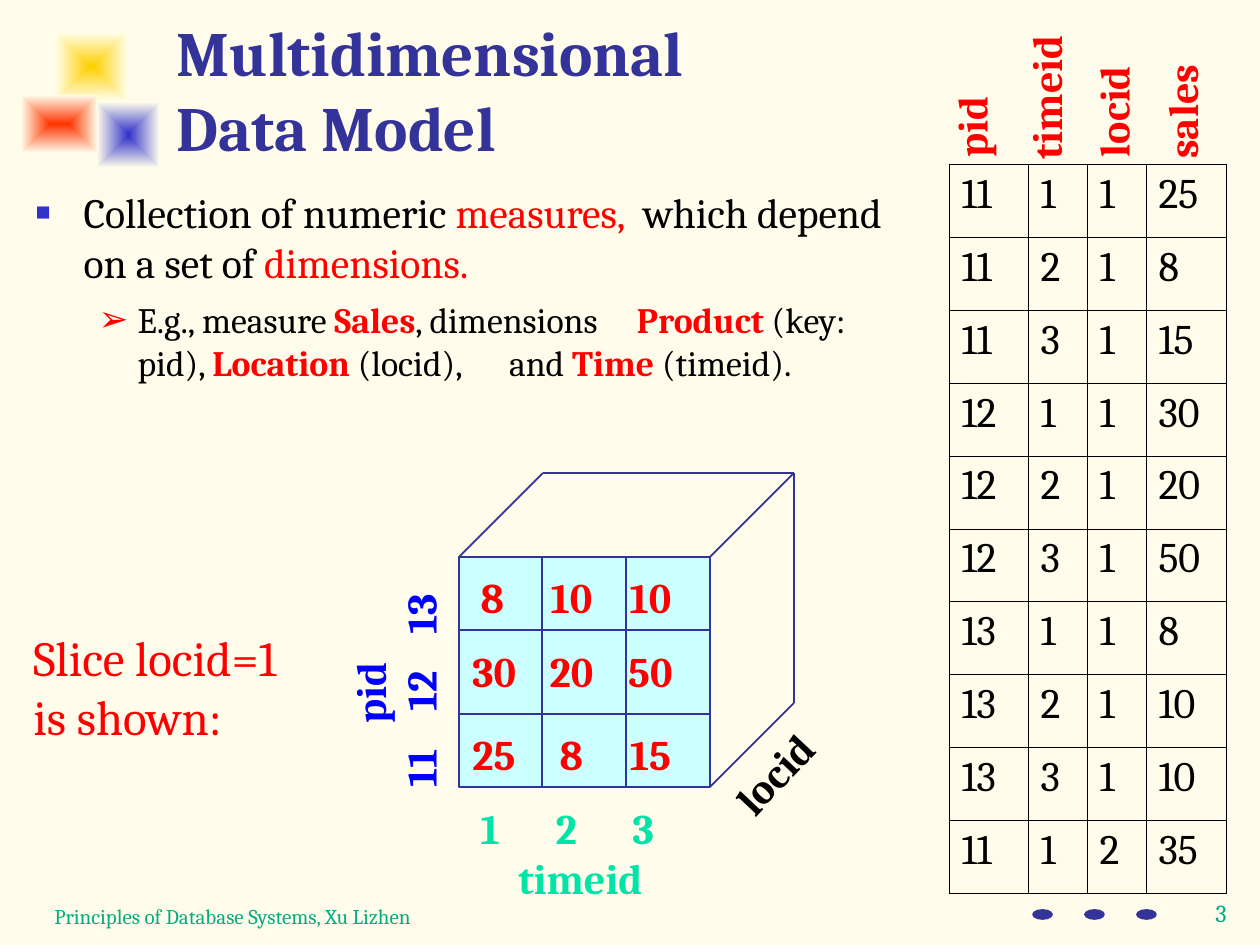
import pptx
import pptx.util
import pptx.dml.color
import pptx.enum.text
import pptx.enum.shapes
import pptx.oxml.ns
import lxml.etree

RGB = pptx.dml.color.RGBColor
ALIGN = pptx.enum.text.PP_ALIGN
ANCHOR = pptx.enum.text.MSO_ANCHOR
SHAPE = pptx.enum.shapes.MSO_SHAPE
qn = pptx.oxml.ns.qn

PX = 914400 // 126
FONT = "Cambria"
CREAM = RGB(0xFF, 0xFC, 0xEB)
FADE = RGB(0xFF, 0xFE, 0xEB)
YELLOW = RGB(0xFF, 0xCF, 0x01)
ORANGE = RGB(0xFF, 0x33, 0x00)
BLUE = RGB(0x33, 0x33, 0xCC)
NAVY = RGB(0x33, 0x33, 0x99)
PID_BLUE = RGB(0x00, 0x00, 0xFF)
RED = RGB(0xFF, 0x00, 0x00)
BLACK = RGB(0x00, 0x00, 0x00)
CYAN = RGB(0xCC, 0xFF, 0xFF)
MINT = RGB(0x00, 0xE4, 0xA8)
GREEN = RGB(0x00, 0xAE, 0x80)

TITLE = "Multidimensional Data Model"
BODY = [
    dict(level=0, size=23.8, before=0, indent=(48, -48), bullet=("■", BLUE, 60),
         runs=[("Collection of numeric ", BLACK, False, 0), ("measures,", RED, False, 0),
               (" ", BLACK, False, 5), ("which depend on a set of ", BLACK, False, 0),
               ("dimensions.", RED, False, 0)]),
    dict(level=1, size=20.4, before=6, indent=(102, -39), bullet=("➢", RED, 100),
         runs=[("E.g., measure ", BLACK, False, 0), ("Sales", RED, True, 0),
               (", dimensions", BLACK, False, 0), (" ", BLACK, False, 18),
               ("Product ", RED, True, 0), ("(key: pid), ", BLACK, False, 0),
               ("Location", RED, True, 0), (" (locid),", BLACK, False, 0),
               (" ", BLACK, False, 22), ("and ", BLACK, False, 0),
               ("Time ", RED, True, 0), ("(timeid).", BLACK, False, 0)]),
]
HEADERS = [("pid", (924, 91, 94, 63)), ("timeid", (963, 58, 165, 63)),
           ("locid", (1048, 73, 130, 63)), ("sales", (1116, 74, 131, 63))]
SALES = [(11, 1, 1, 25), (11, 2, 1, 8), (11, 3, 1, 15), (12, 1, 1, 30), (12, 2, 1, 20),
         (12, 3, 1, 50), (13, 1, 1, 8), (13, 2, 1, 10), (13, 3, 1, 10), (11, 1, 2, 35)]
COL_WIDTHS = (79, 59, 59, 80)
ROW_HEIGHT = 73
CUBE_ROWS = [("\t8\t10\t10", 565), ("\t30\t20\t50", 639), ("\t25\t8\t15", 722)]
LEFT, TOP, RIGHT, BOTTOM, DEPTH = 459, 557, 710, 787, 84
GRID_X, GRID_Y = (542, 626), (630, 714)
SQUARES = [((55, 32, 73, 69), YELLOW), ((97, 102, 63, 66), BLUE), ((21, 95, 77, 58), ORANGE)]


def px(*values):
    return [pptx.util.Emu(v * PX) for v in values]


def add_run(p, text, size, color, bold=False, spacing=0):
    r = p.add_run()
    r.text = text
    fmt = dict(name=FONT, size=pptx.util.Pt(size), bold=bold)
    for key, value in fmt.items():
        setattr(r.font, key, value)
    r.font.color.rgb = color
    if spacing:
        r.font._element.set("spc", str(spacing * 100))


def sub(parent, tag, **attrs):
    el = lxml.etree.SubElement(parent, qn(tag))
    for key, value in attrs.items():
        el.set(key, str(value))
    return el


def add_text(shapes, box, lines, size=24, color=RED, bold=True, rotation=0,
             align=ALIGN.LEFT, anchor=ANCHOR.TOP):
    sp = shapes.add_textbox(*px(*box))
    sp.rotation = rotation
    tf = sp.text_frame
    tf.word_wrap = True
    tf.vertical_anchor = anchor
    for i, (text, tabs) in enumerate(lines):
        p = tf.paragraphs[0] if i == 0 else tf.add_paragraph()
        p.alignment = align
        if tabs:
            tab_list = sub(p._p.get_or_add_pPr(), "a:tabLst")
            for pos in tabs:
                sub(tab_list, "a:tab", pos=pos * PX, algn="ctr")
        add_run(p, text, size, color, bold)


def add_shape(shapes, kind, box, fill, line):
    sp = shapes.add_shape(kind, *px(*box))
    sp.shadow.inherit = False
    sp.fill.solid()
    sp.fill.fore_color.rgb = fill
    sp.line.color.rgb = line
    sp.line.width = pptx.util.Pt(1)


def add_line(shapes, start, end):
    c = shapes.add_connector(pptx.enum.shapes.MSO_CONNECTOR.STRAIGHT, *px(*start, *end))
    c.line.color.rgb = NAVY
    c.line.width = pptx.util.Pt(1)
    sub(c._element.spPr, "a:effectLst")


def add_square(shapes, box, color):
    sp = shapes.add_shape(SHAPE.RECTANGLE, *px(*box))
    sp.shadow.inherit = False
    sp.line.fill.background()
    sp.fill.gradient()
    for stop, rgb in zip(sp.fill.gradient_stops, (color, FADE)):
        stop.color.rgb = rgb
    grad = sp._element.spPr.find(qn("a:gradFill"))
    grad.remove(grad.find(qn("a:lin")))
    centre = sub(grad, "a:path", path="rect")
    sub(centre, "a:fillToRect", l=50000, t=50000, r=50000, b=50000)


def place(sp, box):
    for key, value in zip(("left", "top", "width", "height"), px(*box)):
        setattr(sp, key, value)
    sp.text_frame.auto_size = pptx.enum.text.MSO_AUTO_SIZE.NONE
    return sp.text_frame


def fill_title(s):
    tf = place(s.shapes.title, (164, 21, 653, 136))
    tf.vertical_anchor = ANCHOR.MIDDLE
    p = tf.paragraphs[0]
    p.alignment = ALIGN.LEFT
    add_run(p, TITLE, 36, NAVY, True)


def fill_body(s):
    tf = place(s.placeholders[1], (23, 181, 881, 291))
    for i, item in enumerate(BODY):
        p = tf.paragraphs[0] if i == 0 else tf.add_paragraph()
        p.level = item["level"]
        p.space_before = pptx.util.Pt(item["before"])
        pPr = p._p.get_or_add_pPr()
        margin, indent = item["indent"]
        pPr.set("marL", str(margin * PX))
        pPr.set("indent", str(indent * PX))
        char, color, percent = item["bullet"]
        sub(sub(pPr, "a:buClr"), "a:srgbClr", val=color)
        sub(pPr, "a:buSzPct", val=percent * 1000)
        sub(pPr, "a:buChar", char=char)
        for text, rgb, bold, spacing in item["runs"]:
            add_run(p, text, item["size"], rgb, bold, spacing)


def add_cube(s):
    g = s.shapes.add_group_shape().shapes
    add_shape(g, SHAPE.RECTANGLE, (LEFT, TOP, RIGHT - LEFT, BOTTOM - TOP), CYAN, NAVY)
    for y in GRID_Y:
        add_line(g, (LEFT, y), (RIGHT, y))
    for x in GRID_X:
        add_line(g, (x, TOP), (x, BOTTOM))
    corners = [(LEFT, TOP), (RIGHT, TOP), (RIGHT, BOTTOM)]
    back = [(x + DEPTH, y - DEPTH) for x, y in corners]
    for start, end in list(zip(corners, back)) + list(zip(back, back[1:])):
        add_line(g, start, end)
    for text, top in CUBE_ROWS:
        add_text(g, (460, top, 252, 63), [(text, (20, 99, 178))])
    add_text(g, (460, 796, 237, 113),
             [("\t1\t2\t3", (18, 94, 171)), ("\ttimeid", (108,))], color=MINT)
    add_text(g, (268, 617, 253, 113),
             [("\tpid", (95,)), ("\t11\t12\t13", (19, 96, 173))], color=PID_BLUE, rotation=270)


def add_sales_table(s):
    size = (sum(COL_WIDTHS), ROW_HEIGHT * len(SALES))
    table = s.shapes.add_table(len(SALES), len(COL_WIDTHS), *px(949, 164, *size)).table
    table.first_row = table.horz_banding = False
    for col, width in zip(table.columns, px(*COL_WIDTHS)):
        col.width = width
    for i, values in enumerate(SALES):
        table.rows[i].height = px(ROW_HEIGHT)[0]
        for j, value in enumerate(values):
            cell = table.cell(i, j)
            tcPr = cell._tc.get_or_add_tcPr()
            for side in ("L", "R", "T", "B"):
                ln = sub(tcPr, "a:ln" + side, w=5715)
                sub(sub(ln, "a:solidFill"), "a:srgbClr", val=BLACK)
            cell.fill.background()
            add_run(cell.text_frame.paragraphs[0], str(value), 24, BLACK)


def main():
    prs = pptx.Presentation()
    prs.slide_width, prs.slide_height = px(1260, 945)
    s = prs.slides.add_slide(prs.slide_layouts[1])
    s.background.fill.solid()
    s.background.fill.fore_color.rgb = CREAM
    for box, color in SQUARES:
        add_square(s.shapes, box, color)
    add_text(s.shapes, (1182, 892, 78, 48), [("3", ())], 14, GREEN, False, align=ALIGN.CENTER)
    add_text(s.shapes, (42, 872, 819, 63), [("Principles of Database Systems, Xu Lizhen", ())],
             12, GREEN, False, anchor=ANCHOR.BOTTOM)
    fill_title(s)
    fill_body(s)
    add_cube(s)
    for i in range(3):
        add_shape(s.shapes, SHAPE.OVAL, (1033 + 52 * i, 910, 19, 9), NAVY, NAVY)
    for text, box in HEADERS:
        add_text(s.shapes, box, [(text, ())], rotation=270)
    add_text(s.shapes, (714, 737, 130, 63), [("locid", ())], color=BLACK, rotation=313.3)
    add_text(s.shapes, (21, 621, 314, 131), [("Slice locid=1", ()), ("is shown:", ())],
             28, RED, False)
    add_sales_table(s)
    prs.save("out.pptx")


if __name__ == "__main__":
    main()
